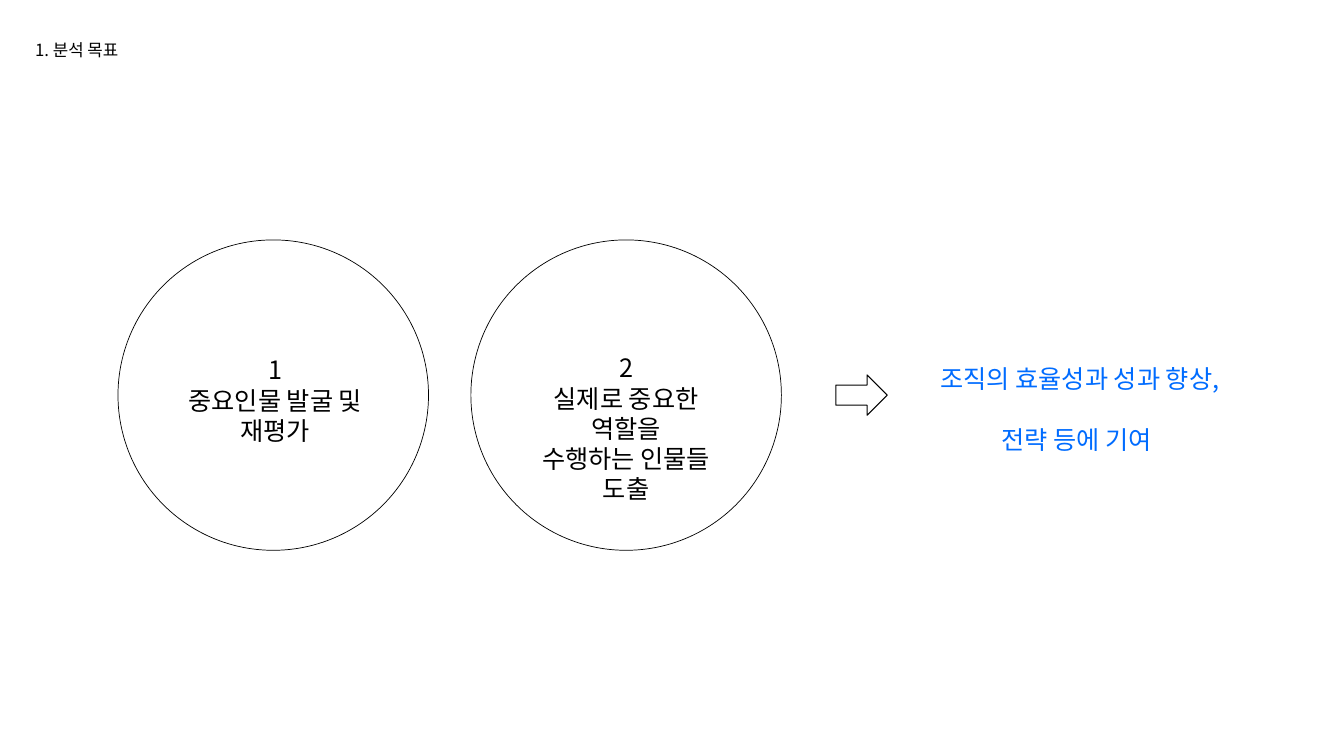
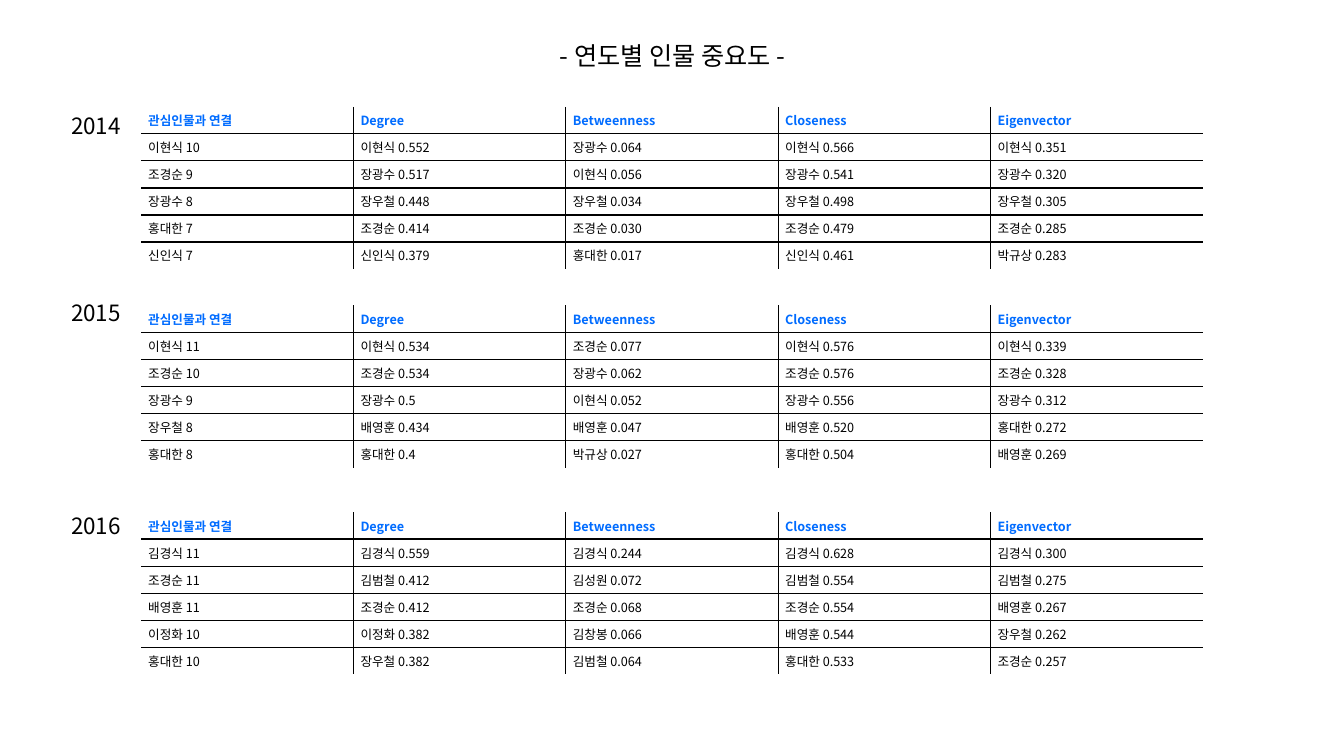
from pptx import Presentation
from pptx.dml.color import RGBColor
from pptx.enum.shapes import MSO_SHAPE as SHAPE
from pptx.enum.text import MSO_ANCHOR as ANCHOR, MSO_AUTO_SIZE as AUTO, PP_ALIGN as ALIGN
from pptx.oxml.ns import qn
from pptx.util import Inches, Pt
from lxml.etree import SubElement

BLACK = RGBColor(0x00, 0x00, 0x00)
BLUE = RGBColor(0x00, 0x6C, 0xFF)
FONT = "Noto Sans CJK KR"

HEADERS = ["관심인물과 연결", "Degree", "Betweenness", "Closeness", "Eigenvector"]

# Year, label top, table top, ranking rows
YEARS = [
    ("2014", 1.06, 1.06, [
        ["이현식 10", "이현식 0.552", "장광수 0.064", "이현식 0.566", "이현식 0.351"],
        ["조경순 9", "장광수 0.517", "이현식 0.056", "장광수 0.541", "장광수 0.320"],
        ["장광수 8", "장우철 0.448", "장우철 0.034", "장우철 0.498", "장우철 0.305"],
        ["홍대한 7", "조경순 0.414", "조경순 0.030", "조경순 0.479", "조경순 0.285"],
        ["신인식 7", "신인식 0.379", "홍대한 0.017", "신인식 0.461", "박규상 0.283"],
    ]),
    ("2015", 2.92, 3.03, [
        ["이현식 11", "이현식 0.534", "조경순 0.077", "이현식 0.576", "이현식 0.339"],
        ["조경순 10", "조경순 0.534", "장광수 0.062", "조경순 0.576", "조경순 0.328"],
        ["장광수 9", "장광수 0.5", "이현식 0.052", "장광수 0.556", "장광수 0.312"],
        ["장우철 8", "배영훈 0.434", "배영훈 0.047", "배영훈 0.520", "홍대한 0.272"],
        ["홍대한 8", "홍대한 0.4", "박규상 0.027", "홍대한 0.504", "배영훈 0.269"],
    ]),
    ("2016", 5.03, 5.08, [
        ["김경식 11", "김경식 0.559", "김경식 0.244", "김경식 0.628", "김경식 0.300"],
        ["조경순 11", "김범철 0.412", "김성원 0.072", "김범철 0.554", "김범철 0.275"],
        ["배영훈 11", "조경순 0.412", "조경순 0.068", "조경순 0.554", "배영훈 0.267"],
        ["이정화 10", "이정화 0.382", "김창봉 0.066", "배영훈 0.544", "장우철 0.262"],
        ["홍대한 10", "장우철 0.382", "김범철 0.064", "홍대한 0.533", "조경순 0.257"],
    ]),
]


class Deck:
    """Holds the shared style and the current slide."""

    def __init__(self):
        self.prs = Presentation()
        self.prs.slide_width, self.prs.slide_height = Inches(13.33), Inches(7.5)
        self.s = None

    def slide(self):
        self.s = self.prs.slides.add_slide(self.prs.slide_layouts[6])

    def styled_run(self, p, text, size, color=BLACK, bold=False, align=ALIGN.CENTER):
        p.alignment = align
        r = p.add_run()
        r.text = text
        for name, value in {"name": FONT, "size": Pt(size), "bold": bold}.items():
            setattr(r.font, name, value)
        r.font.color.rgb = color
        SubElement(r._r.get_or_add_rPr(), qn("a:ea"), typeface=FONT)

    def text(self, box, lines, size, **style):
        tf = self.s.shapes.add_textbox(*map(Inches, box)).text_frame
        tf.word_wrap = True
        tf.auto_size = AUTO.SHAPE_TO_FIT_TEXT
        for i, line in enumerate(lines):
            p = tf.add_paragraph() if i else tf.paragraphs[0]
            self.styled_run(p, line, size, **style)

    def outline(self, kind, box, width):
        sp = self.s.shapes.add_shape(kind, *map(Inches, box))
        sp.shadow.inherit = False
        sp.fill.background()
        sp.line.color.rgb = BLACK
        sp.line.width = Pt(width)

    def borders(self, cell, **sides):
        tcPr = cell._tc.get_or_add_tcPr()
        for side, visible in sides.items():
            ln = SubElement(tcPr, qn(f"a:ln{side}"), w=str(Pt(1)))
            if visible:
                fill = SubElement(ln, qn("a:solidFill"))
                SubElement(fill, qn("a:srgbClr"), val=str(BLACK))
            else:
                SubElement(ln, qn("a:noFill"))

    def table(self, box, rows):
        n_rows, n_cols = len(rows), len(rows[0])
        table = self.s.shapes.add_table(n_rows, n_cols, *map(Inches, box)).table
        table.first_row = table.horz_banding = False
        layout = {"margin_left": Inches(0.07), "margin_right": Inches(0.07),
                  "margin_top": 0, "margin_bottom": 0, "vertical_anchor": ANCHOR.MIDDLE}
        for i, row in enumerate(rows):
            for j, text in enumerate(row):
                cell = table.cell(i, j)
                for name, value in layout.items():
                    setattr(cell, name, value)
                # Only the inner grid lines show
                self.borders(cell, L=j > 0, R=j < n_cols - 1, T=i > 0, B=i < n_rows - 1)
                cell.fill.background()
                self.styled_run(cell.text_frame.paragraphs[0], text, 9, bold=i == 0,
                                color=BLACK if i else BLUE, align=ALIGN.JUSTIFY)


def main():
    deck = Deck()

    # Slide 1: goals of the analysis
    deck.slide()
    deck.text((1.45, 3.47, 2.56, 0.71), ["1", "중요인물 발굴 및 재평가"], 18)
    deck.text((5.07, 3.45, 2.28, 1.01),
              ["2", "실제로 중요한 역할을", "수행하는 인물들 도출"], 18)
    deck.text((9.22, 3.56, 2.91, 0.71),
              ["조직의 효율성과 성과 향상, ", "전략 등에 기여"], 18, color=BLUE)
    for left in (1.17, 4.67):
        deck.outline(SHAPE.OVAL, (left, 2.38, 3.08, 3.08), 0.5)
    deck.outline(SHAPE.RIGHT_ARROW, (8.29, 3.72, 0.51, 0.4), 0.75)
    deck.text((0.25, 0.35, 2.31, 0.3), ["1. 분석 목표"], 12, align=ALIGN.LEFT)

    # Slide 2: importance of people by year
    deck.slide()
    deck.text((5.45, 0.35, 2.44, 0.71), ["- 연도별 인물 중요도 - "], 18)
    for year, label_top, table_top, ranking in YEARS:
        deck.table((1.4, table_top, 10.53, 1.61), [HEADERS] + ranking)
        deck.text((0.49, label_top, 0.92, 0.37), [year], 16)

    deck.prs.save("out.pptx")


if __name__ == "__main__":
    main()
